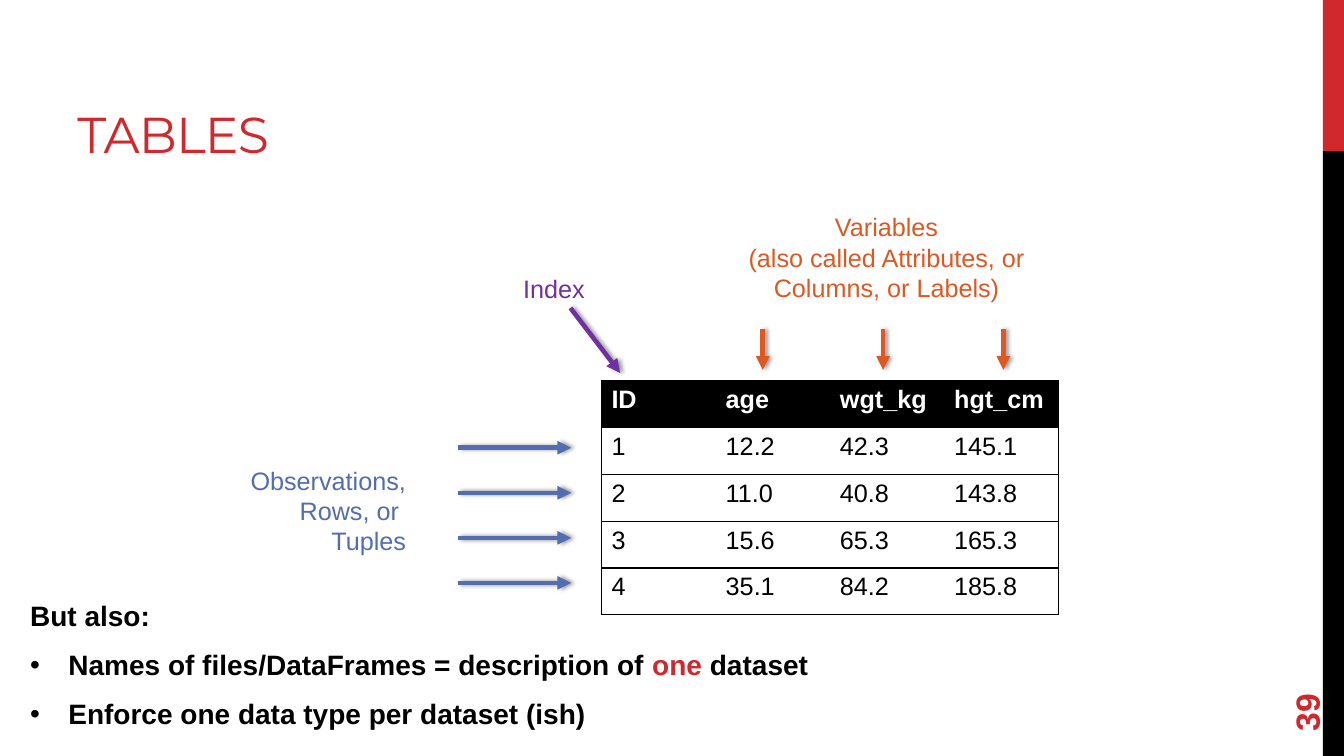
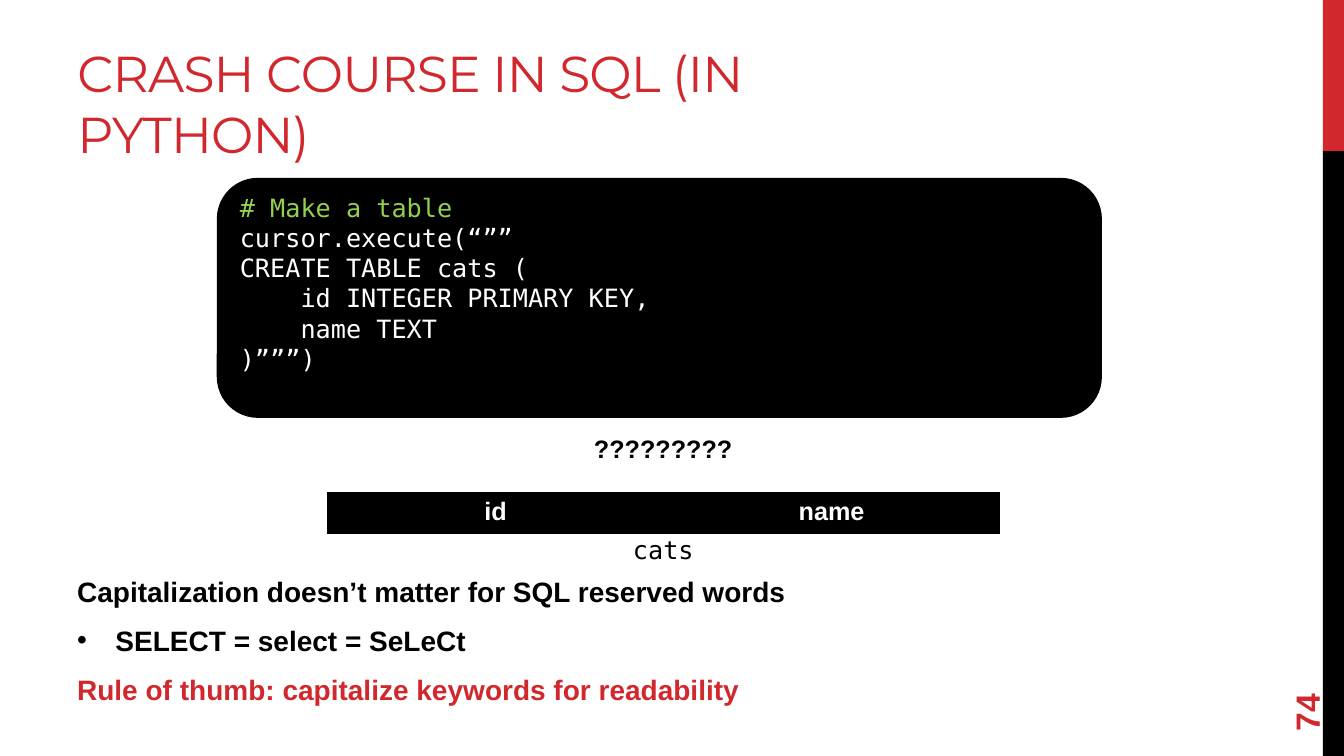
from dataclasses import dataclass

from lxml import etree
from pptx import Presentation
from pptx import util as u
from pptx.dml.color import RGBColor
from pptx.enum import shapes, text
from pptx.oxml import ns

SLIDE_WIDTH, SLIDE_HEIGHT = u.Inches(13.333), u.Inches(7.5)
COLUMN, ROW = SLIDE_WIDTH / 40, SLIDE_HEIGHT / 30
COLORS = {
    "red": "D1282E", "black": "000000", "white": "FFFFFF", "blue": "526DB0",
    "orange": "DC5924", "purple": "7030A0", "green": "92D050",
}
SANS, MONO, DISPLAY = "Arial", "DejaVu Sans Mono", "Montserrat"
PLAIN_TABLE_STYLE = "{2D5ABB26-0587-4C30-8999-92F81FD0307C}"
ALIGN = text.PP_ALIGN


@dataclass
class Box:
    """An area measured in columns and rows of the slide grid."""
    left: float
    top: float
    width: float
    height: float

    def point(self, across, down):
        return self.left + across * self.width, self.top + down * self.height

    def area(self, across, down, width, height):
        return Box(*self.point(across, down), width * self.width, height * self.height)

    def emu(self):
        return (*grid_emu(self.left, self.top), *grid_emu(self.width, self.height))


def grid_emu(columns, rows):
    return round(columns * COLUMN), round(rows * ROW)


def rgb(color):
    return RGBColor.from_string(COLORS[color])


def add_xml(parent, tag, **attributes):
    return etree.SubElement(parent, ns.qn(tag), attributes)


def write(frame, paragraphs, size=18, color="black", font=SANS, bold=False, align=ALIGN.LEFT):
    """Fill a frame; a paragraph is a string or a list of (text, color) runs."""
    frame.word_wrap = True
    for index, content in enumerate(paragraphs):
        paragraph = frame.paragraphs[0] if index == 0 else frame.add_paragraph()
        paragraph.alignment = align
        pieces = [(content, color)] if isinstance(content, str) else content
        for piece, piece_color in pieces:
            run = paragraph.add_run()
            run.text = piece
            run.font.name, run.font.size, run.font.bold = font, u.Pt(size), bold
            run.font.color.rgb = rgb(piece_color)


def add_label(slide, box, paragraphs, **style):
    label = slide.shapes.add_textbox(*box.emu())
    write(label.text_frame, paragraphs, **style)
    return label


def add_panel(slide, box, kind, color):
    panel = slide.shapes.add_shape(kind, *box.emu())
    panel.shadow.inherit = False
    panel.fill.solid()
    panel.fill.fore_color.rgb = rgb(color)
    panel.line.fill.background()
    return panel


def add_arrow(slide, start, end, color):
    arrow = slide.shapes.add_connector(
        shapes.MSO_CONNECTOR.STRAIGHT, *grid_emu(*start), *grid_emu(*end))
    arrow.line.color.rgb = rgb(color)
    arrow.line.width = u.Pt(3.25)
    add_xml(arrow.line._get_or_add_ln(), "a:tailEnd", type="triangle")
    effects = add_xml(arrow._element.spPr, "a:effectLst")
    shadow = add_xml(effects, "a:outerShdw", blurRad=str(u.Pt(3.1)),
                     dist=str(u.Pt(1.8)), dir="0", rotWithShape="0")
    shadow_color = add_xml(shadow, "a:srgbClr", val=COLORS["black"])
    add_xml(shadow_color, "a:alpha", val="40000")


def add_bullets(slide, box, paragraphs, bulleted):
    body = add_label(slide, box, paragraphs, size=20, bold=True)
    for index, paragraph in enumerate(body.text_frame.paragraphs):
        if index in bulleted:
            properties = paragraph._p.get_or_add_pPr()
            properties.set("marL", str(u.Inches(0.38)))
            properties.set("indent", str(-u.Inches(0.38)))
            add_xml(properties, "a:buFont", typeface=SANS)
            add_xml(properties, "a:buChar", char="•")
        if index:
            paragraph.space_before = u.Pt(5)
        paragraph.space_after = u.Pt(6)


def set_borders(cell, sides):
    properties = cell._tc.get_or_add_tcPr()
    for index, side in enumerate(sides):
        line = etree.Element(ns.qn(f"a:ln{side}"), {"w": str(u.Pt(1))})
        add_xml(add_xml(line, "a:solidFill"), "a:srgbClr", val=COLORS["black"])
        properties.insert(index, line)


def add_data_table(slide, box, rows, align=ALIGN.LEFT):
    """Ruled table with a black header row and no inner vertical lines."""
    row_count, column_count = len(rows), len(rows[0])
    frame = slide.shapes.add_table(row_count, column_count, *box.emu())
    table = frame.table
    table.horz_banding = False
    next(frame._element.iter(ns.qn("a:tableStyleId"))).text = PLAIN_TABLE_STYLE
    for row_index, row in enumerate(rows):
        header = row_index == 0
        for column_index, value in enumerate(row):
            cell = table.cell(row_index, column_index)
            write(cell.text_frame, [value], bold=header, align=align,
                  color="white" if header else "black")
            cell.fill.solid()
            cell.fill.fore_color.rgb = rgb("black" if header else "white")
            left = "L" if column_index == 0 else ""
            right = "R" if column_index == column_count - 1 else ""
            set_borders(cell, left + right + "TB")


def add_base_slide(presentation, title, number):
    """Slide with the side bands, the title and the turned page number."""
    slide = presentation.slides.add_slide(presentation.slide_layouts[5])
    for top, height, color in ((0, 6, "red"), (6, 24, "black")):
        add_panel(slide, Box(39.37, top, 0.63, height), shapes.MSO_SHAPE.RECTANGLE, color)
    heading = slide.shapes.title
    heading.left, heading.top, heading.width, heading.height = Box(2, 0.68, 25.32, 6).emu()
    frame = heading.text_frame
    write(frame, [title], size=36, color="red", font=DISPLAY)
    frame.auto_size = text.MSO_AUTO_SIZE.NONE
    frame.vertical_anchor = text.MSO_ANCHOR.BOTTOM
    frame.paragraphs[0].runs[0].font._element.set("spc", "-60")
    page = add_label(slide, Box(36.72, 25.48, 4.32, 2.12), [number],
                     size=24, color="red", bold=True)
    page.rotation = 270
    page.text_frame.vertical_anchor = text.MSO_ANCHOR.MIDDLE
    return slide


def add_observations(slide, box):
    add_label(slide, box.area(0, 0.09, 0.56, 0.75),
              ["Observations,", "Rows, or ", "Tuples"], color="blue", align=ALIGN.RIGHT)
    for index in range(4):
        down = index / 3
        add_arrow(slide, box.point(0.68, down), box.point(1, down), "blue")


def add_variables(slide, box):
    add_label(slide, box.area(0, 0, 1, 0.62),
              ["Variables", "(also called Attributes, or Columns, or Labels)"],
              color="orange", align=ALIGN.CENTER)
    for index in range(3):
        across = 0.14 + 0.35 * index
        add_arrow(slide, box.point(across, 0.75), box.point(across, 1), "orange")


def add_index(slide, box):
    add_label(slide, box.area(0, 0, 1, 0.38), ["Index"], color="purple", align=ALIGN.CENTER)
    add_arrow(slide, box.point(0.54, 0.38), box.point(0.66, 1), "purple")


def add_code(slide, box, lines):
    panel = add_panel(slide, box, shapes.MSO_SHAPE.ROUNDED_RECTANGLE, "black")
    panel.line.color.rgb = rgb("black")
    panel.line.width = u.Pt(2.25)
    frame = panel.text_frame
    frame.vertical_anchor = text.MSO_ANCHOR.MIDDLE
    frame.margin_bottom = u.Inches(0.35)
    write(frame, lines, color="white", font=MONO)


def build_tables_slide(presentation):
    slide = add_base_slide(presentation, "TABLES", "39")
    add_data_table(slide, Box(17.9, 15.12, 13.6, 9.28), [
        ("ID", "age", "wgt_kg", "hgt_cm"),
        ("1", "12.2", "42.3", "145.1"),
        ("2", "11.0", "40.8", "143.8"),
        ("3", "15.6", "65.3", "165.3"),
        ("4", "35.1", "84.2", "185.8"),
    ])
    add_observations(slide, Box(6.5, 17.77, 10.5, 5.36))
    add_variables(slide, Box(21.27, 8.2, 10.23, 6.48))
    add_index(slide, Box(10.32, 10.64, 12.33, 4.16))
    add_bullets(slide, Box(0.6, 23.56, 25, 5.8), [
        "But also:",
        [("Names of files/DataFrames = description of ", "black"),
         ("one ", "red"), ("dataset", "black")],
        "Enforce one data type per dataset (ish)",
    ], bulleted={1, 2})


def build_sql_slide(presentation):
    slide = add_base_slide(presentation, "CRASH COURSE IN SQL (IN PYTHON)", "74")
    add_bullets(slide, Box(2, 22.6, 33.33, 5.76), [
        "Capitalization doesn’t matter for SQL reserved words",
        "SELECT = select = SeLeCt",
        [("Rule of thumb: capitalize keywords for readability", "red")],
    ], bulleted={1})
    add_code(slide, Box(6.5, 7.12, 26.25, 9.4), [
        [("# Make a table", "green")],
        "cursor.execute(“””",
        "CREATE TABLE cats (",
        "    id INTEGER PRIMARY KEY,",
        "    name TEXT",
        ")”””)",
    ])
    add_label(slide, Box(13.98, 17, 11.52, 1.6), ["?????????"], bold=True, align=ALIGN.CENTER)
    add_data_table(slide, Box(9.75, 19.56, 20, 1.6), [("id", "name")], align=ALIGN.CENTER)
    add_label(slide, Box(16.62, 21, 6.24, 1.6), ["cats"], font=MONO, align=ALIGN.CENTER)


def main():
    presentation = Presentation()
    presentation.slide_width, presentation.slide_height = SLIDE_WIDTH, SLIDE_HEIGHT
    build_tables_slide(presentation)
    build_sql_slide(presentation)
    presentation.save("out.pptx")


if __name__ == "__main__":
    main()
